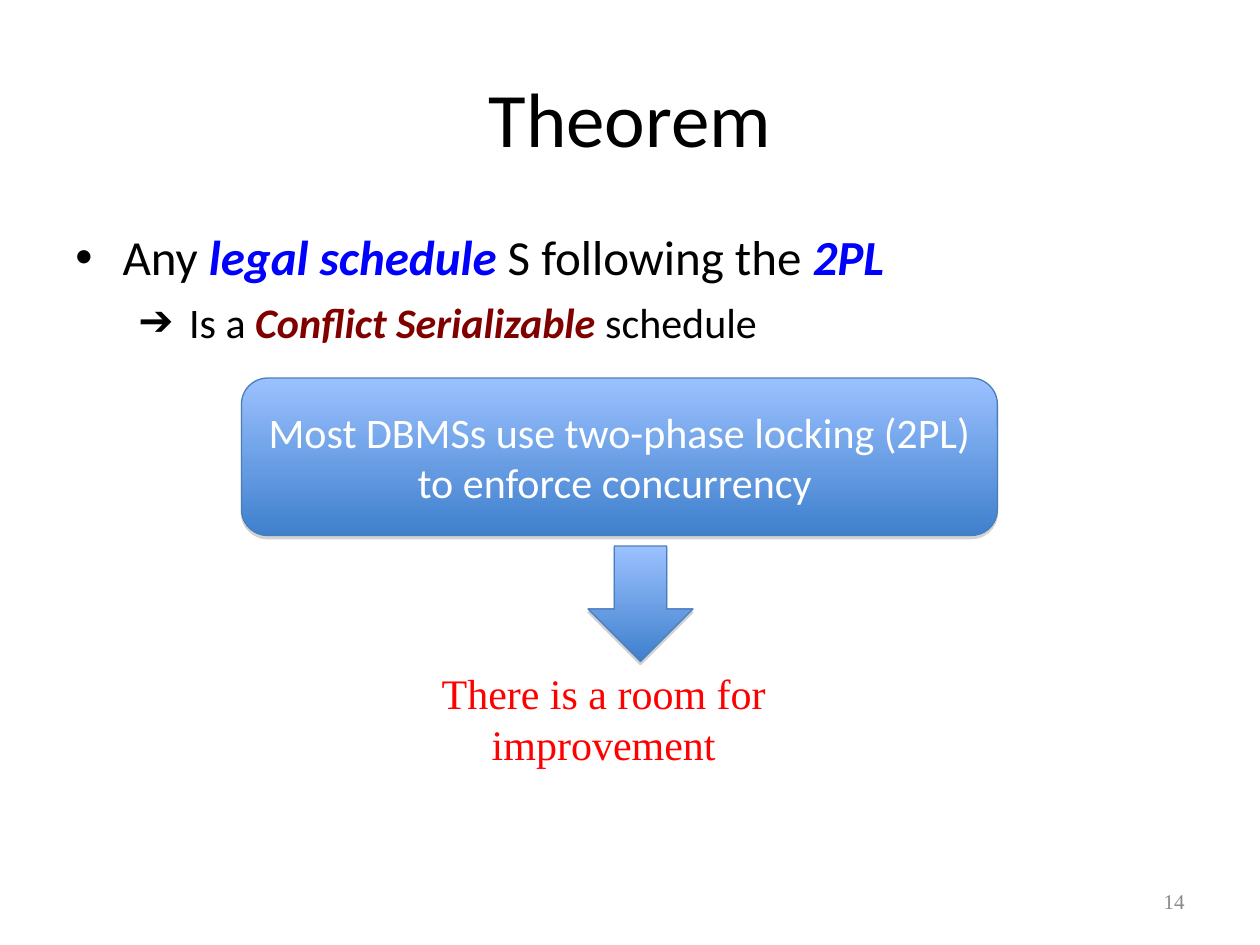
from lxml.etree import SubElement
from pptx import Presentation
from pptx.dml.color import RGBColor
from pptx.enum.shapes import MSO_SHAPE as Shape
from pptx.enum.text import MSO_ANCHOR as Anchor, PP_ALIGN as Align
from pptx.oxml.ns import qn
from pptx.util import Pt

COLORS = {
    "black": "000000",
    "white": "FFFFFF",
    "term": "0000FF",
    "result": "800000",
    "remark": "FF0000",
    "number": "898989",
    "light": "9BC1FF",
    "deep": "3F80CD",
    "edge": "4A7EBB",
    "shadow": "808080",
}


def color(name):
    return RGBColor.from_string(COLORS[name])


def style(para, size, face, shade, align=Align.LEFT):
    para.alignment = align
    para.font.size = Pt(size)
    para.font.name = face
    para.font.color.rgb = color(shade)


def add_text(page, area, text, size, face, shade, align, anchor, wrap=True):
    box = page.shapes.add_textbox(*map(Pt, area))
    frame = box.text_frame
    frame.word_wrap = wrap
    frame.vertical_anchor = anchor
    para = frame.paragraphs[0]
    para.text = text
    style(para, size, face, shade, align)


def add_bullet(para, char, left, hang):
    props = para._p.get_or_add_pPr()
    props.set("marL", str(Pt(left)))
    props.set("indent", str(-Pt(hang)))
    tint = SubElement(props, qn("a:buClr"))
    SubElement(tint, qn("a:srgbClr"), val=COLORS["black"])
    SubElement(props, qn("a:buFont"), typeface="Arial")
    SubElement(props, qn("a:buChar"), char=char)


def add_statement(page, area):
    frame = page.shapes.add_textbox(*map(Pt, area)).text_frame
    frame.word_wrap = True
    claim = [("Any ", None), ("legal schedule ", "term"),
             ("S following the", None), (" 2PL", "term")]
    outcome = [("Is a ", None), ("Conflict Serializable ", "result"),
               ("schedule", None)]
    levels = [(claim, "•", 27, 27, 28, 0), (outcome, "➔", 65, 29, 24, 6)]
    for level, (parts, char, left, hang, size, before) in enumerate(levels):
        para = frame.add_paragraph() if level else frame.paragraphs[0]
        para.level = level
        add_bullet(para, char, left, hang)
        para.space_before = Pt(before)
        style(para, size, "Calibri", "black")
        for text, emphasis in parts:
            span = para.add_run()
            span.text = text
            if emphasis:
                span.font.bold = span.font.italic = True
                span.font.color.rgb = color(emphasis)


def add_glossy(page, kind, area):
    shape = page.shapes.add_shape(kind, *map(Pt, area))
    shape.fill.gradient()
    shape.fill.gradient_angle = 270
    for stop, (position, shade) in zip(shape.fill.gradient_stops,
                                       [(0, "light"), (1, "deep")]):
        stop.position = position
        stop.color.rgb = color(shade)
    shape.line.color.rgb = color("edge")
    shape.line.width = Pt(0.75)
    shape.shadow.inherit = False
    effects = shape._element.spPr.find(qn("a:effectLst"))
    shadow = SubElement(effects, qn("a:outerShdw"), blurRad="0",
                        dist=str(Pt(1.8)), dir="5400000", rotWithShape="0")
    tint = SubElement(shadow, qn("a:srgbClr"), val=COLORS["shadow"])
    SubElement(tint, qn("a:alpha"), val="35000")
    return shape


def add_conclusion(page, area):
    left, top, width, height = area
    banner = add_glossy(page, Shape.ROUNDED_RECTANGLE, (left, top, width, 90))
    frame = banner.text_frame
    frame.word_wrap = True
    frame.vertical_anchor = Anchor.MIDDLE
    para = frame.paragraphs[0]
    para.text = "Most DBMSs use two-phase locking (2PL) to enforce concurrency "
    style(para, 24, "Calibri", "white", Align.CENTER)
    add_glossy(page, Shape.DOWN_ARROW, (left + 198, top + 96, 60, 66))
    add_text(page, (left + 40.5, top + 162, 333, height - 162),
             "There is a room for improvement", 24, "Times New Roman",
             "remark", Align.CENTER, Anchor.TOP, wrap=False)


def main():
    deck = Presentation()
    deck.slide_width, deck.slide_height = Pt(720), Pt(540)
    page = deck.slides.add_slide(deck.slide_layouts[6])
    add_text(page, (36, 21.6, 648, 90), "Theorem", 44, "Calibri", "black",
             Align.CENTER, Anchor.MIDDLE)
    add_statement(page, (36, 126, 648, 96))
    add_text(page, (516, 500.5, 168, 28.75), "14", 12, "Times New Roman",
             "number", Align.RIGHT, Anchor.MIDDLE)
    add_conclusion(page, (138, 216, 432, 198))
    deck.save("out.pptx")


if __name__ == "__main__":
    main()
